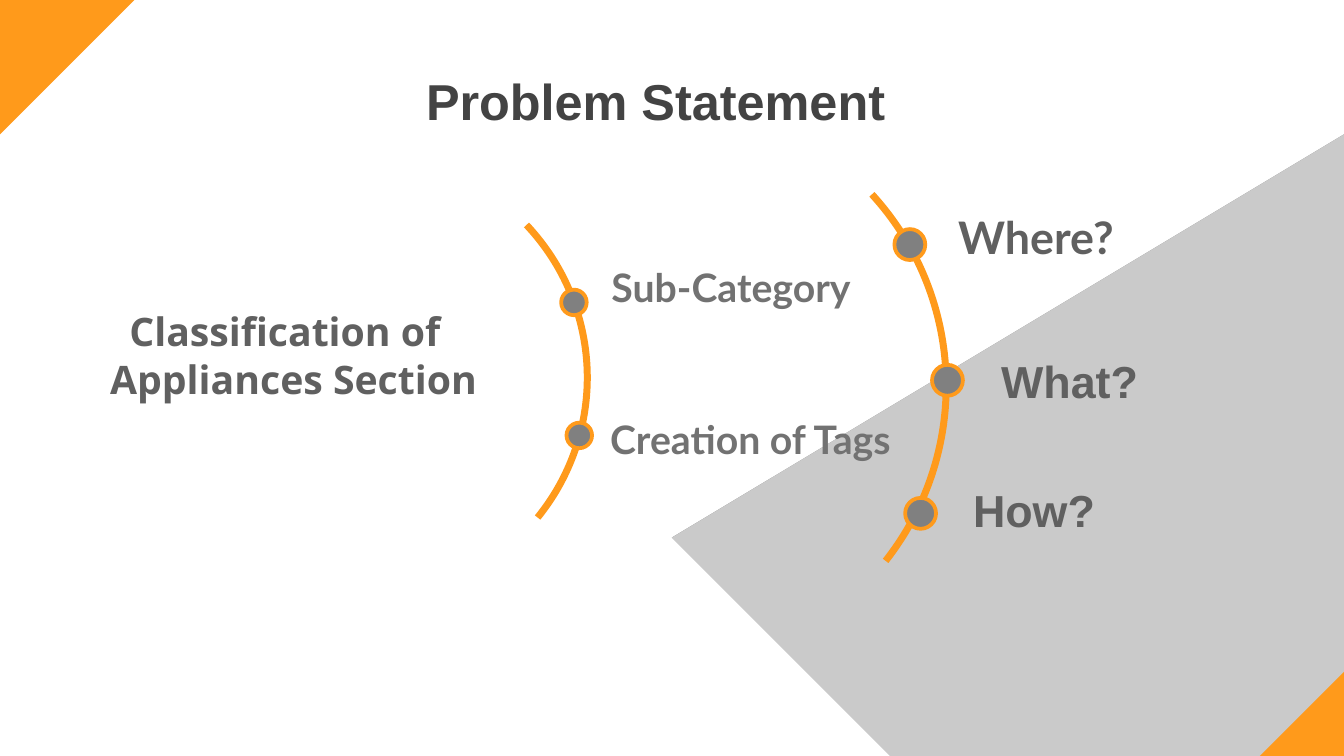
from pptx import Presentation
from pptx.dml.color import RGBColor
from pptx.enum.shapes import MSO_SHAPE
from pptx.enum.text import MSO_ANCHOR, MSO_AUTO_SIZE, PP_ALIGN
from pptx.util import Inches, Pt

ARC, OVAL = MSO_SHAPE.ARC, MSO_SHAPE.OVAL
TOP, MIDDLE = MSO_ANCHOR.TOP, MSO_ANCHOR.MIDDLE
LEFT, CENTER = PP_ALIGN.LEFT, PP_ALIGN.CENTER
NO_FIT = MSO_AUTO_SIZE.NONE

WIDTH, HEIGHT = 10, 5.625
ORANGE, GRAY, SILVER = "FF9A1B", "808080", "CACACA"
HEADING, DARK, MEDIUM = "434343", "606060", "727272"


def color(value):
    return RGBColor.from_string(value)


def write(frame, text, size, font="Arial", fill=DARK, align=LEFT, anchor=TOP,
          insets=(0.07, 0.04), spacing=0.8, margin=0, indent=0):
    frame.word_wrap = True
    frame.auto_size = NO_FIT
    frame.vertical_anchor = anchor
    frame.margin_left = frame.margin_right = Inches(insets[0])
    frame.margin_top = frame.margin_bottom = Inches(insets[1])
    frame.text = text
    paragraph = frame.paragraphs[0]
    paragraph.alignment = align
    paragraph.line_spacing = spacing
    paragraph.space_before = Pt(0)
    properties = paragraph._p.get_or_add_pPr()
    properties.set("marL", str(Inches(margin)))
    properties.set("indent", str(Inches(indent)))
    letters = paragraph.runs[0].font
    letters.name, letters.size, letters.bold = font, Pt(size), True
    letters.color.rgb = color(fill)


def curve(start, first, second, end, steps=16):
    points = []
    for step in range(steps + 1):
        t = step / steps
        weights = ((1 - t) ** 3, 3 * t * (1 - t) ** 2, 3 * t ** 2 * (1 - t), t ** 3)
        points.append(tuple(sum(w * p[axis] for w, p in zip(weights, (start, first, second, end)))
                            for axis in (0, 1)))
    return points


class Deck:
    def __init__(self):
        self.presentation = Presentation()
        self.presentation.slide_width = Inches(WIDTH)
        self.presentation.slide_height = Inches(HEIGHT)
        self.slide = self.presentation.slides.add_slide(self.presentation.slide_layouts[5])
        self.shapes = self.slide.shapes

    def title(self, text, box, **style):
        heading = self.shapes.title
        heading.left, heading.top, heading.width, heading.height = map(Inches, box)
        write(heading.text_frame, text, **style)

    def label(self, text, box, **style):
        write(self.shapes.add_textbox(*map(Inches, box)).text_frame, text, **style)

    def polygon(self, points, fill):
        builder = self.shapes.build_freeform(*points[0], scale=Inches(1))
        builder.add_line_segments(points[1:], close=True)
        outline = builder.convert_to_shape()
        outline.shadow.inherit = False
        outline.fill.solid()
        outline.fill.fore_color.rgb = color(fill)
        outline.line.fill.background()

    def preset(self, kind, box, weight):
        shape = self.shapes.add_shape(kind, *map(Inches, box))
        shape.shadow.inherit = False
        shape.line.color.rgb = color(ORANGE)
        shape.line.width = Pt(weight)
        return shape

    def arc(self, box):
        bow = self.preset(ARC, box, 3.75)
        bow.fill.background()
        bow.adjustments[0], bow.adjustments[1] = 190.54, 22.89

    def dot(self, x, y, size):
        marker = self.preset(OVAL, (x - size / 2, y - size / 2, size, size), 2)
        marker.fill.solid()
        marker.fill.fore_color.rgb = color(GRAY)


def main():
    deck = Deck()

    edge = (curve((4.72, 3.79), (4.61, 3.85), (4.55, 3.85), (4.53, 3.93))
            + curve((4.53, 4.05), (4.53, 4.15), (4.6, 4.24), (4.72, 4.32)))
    deck.polygon([(WIDTH, 0.72), *edge, (6.99, HEIGHT), (WIDTH, HEIGHT)], GRAY)
    corner = curve((4.72, 3.68), (4.47, 3.82), (4.47, 4.06), (4.72, 4.2))
    deck.polygon([(WIDTH, 0.61), *corner, (7.18, HEIGHT), (WIDTH, HEIGHT)], SILVER)
    deck.polygon([(0, 0), (1.27, 0), (0, 0.72)], ORANGE)
    deck.polygon([(WIDTH, 4.9), (8.73, HEIGHT), (WIDTH, HEIGHT)], ORANGE)

    deck.title("Problem Statement", (3.17, 0.61, 3.54, 0.36),
               size=27, fill=HEADING, insets=(0, 0))
    deck.label("Classification of Appliances Section", (0.06, 2.2, 3.84, 0.88),
               size=21, font="Open Sans", align=CENTER, anchor=MIDDLE,
               insets=(0.1, 0.1), spacing=1.0, margin=0.41, indent=-0.13)

    deck.arc((2.82, 0.76, 4.22, 4.22))
    questions = [
        ("Where?", "Lato", (6.77, 1.82), (7.06, 1.6)),
        ("What?", "Arial", (7.05, 2.83), (7.38, 2.67)),
        ("How?", "Arial", (6.85, 3.82), (7.17, 3.63)),
    ]
    for text, font, center, corner in questions:
        deck.dot(*center, 0.23)
        deck.label(text, (*corner, 2.37, 0.4), size=24, font=font)

    deck.arc((0.98, 1.14, 3.39, 3.34))
    tasks = [
        ("Sub-Category", (4.27, 2.25), (4.48, 1.99)),
        ("Creation of Tags", (4.31, 3.24), (4.47, 3.12)),
    ]
    for text, center, corner in tasks:
        deck.dot(*center, 0.19)
        deck.label(text, (*corner, 2.37, 0.37), size=21, font="Lato", fill=MEDIUM)

    deck.presentation.save("out.pptx")


if __name__ == "__main__":
    main()
